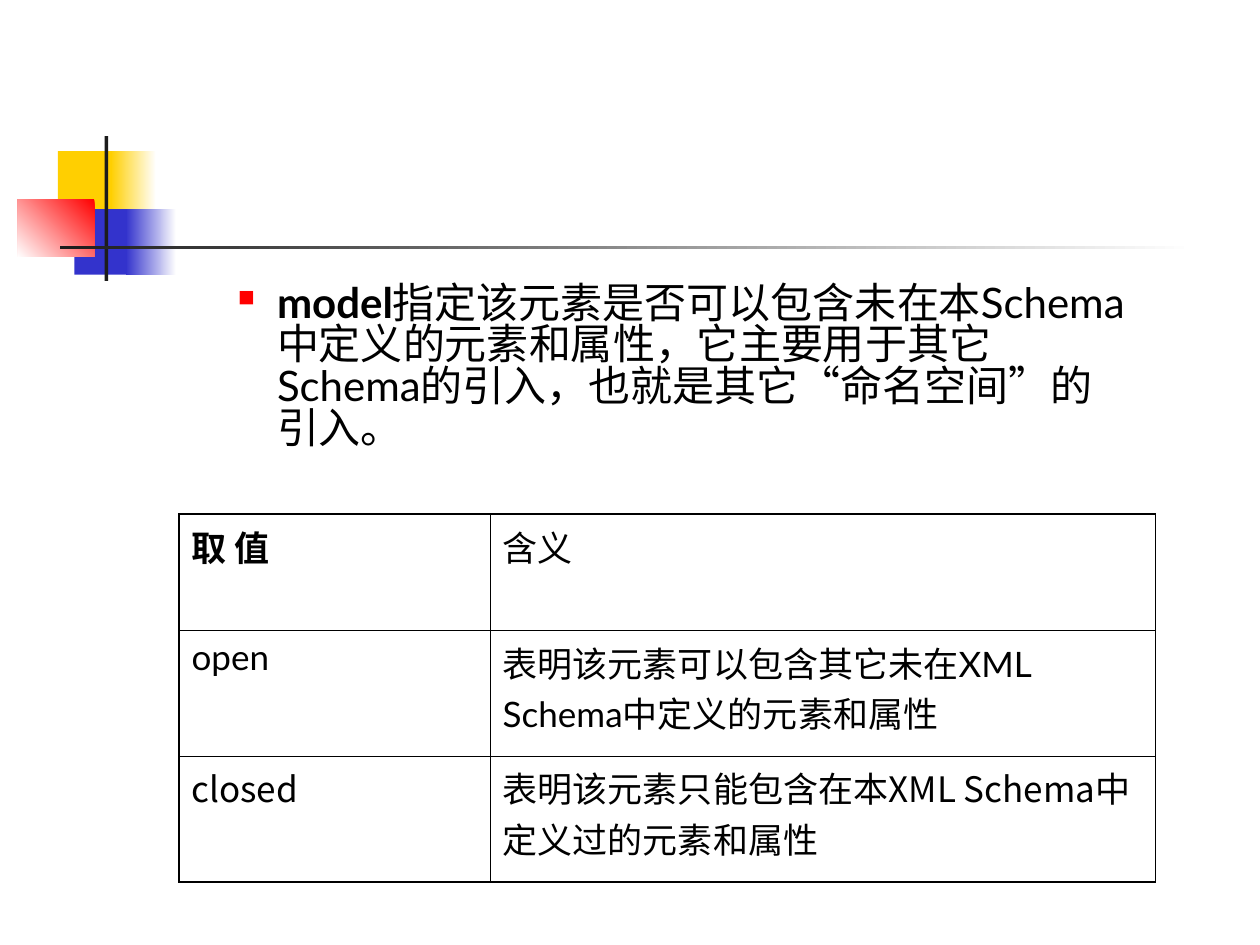
from dataclasses import dataclass

from lxml import etree
from pptx import Presentation
from pptx import util as u
from pptx.dml.color import RGBColor
from pptx.enum import shapes, text
from pptx.oxml.ns import qn

WIDTH, HEIGHT = u.Inches(10), u.Inches(7.5)
LATIN, HAN = "Lato", "Noto Sans CJK SC"
BLACK, WHITE, RED = "000000", "FFFFFF", "FF0000"
YELLOW, BLUE, CHARCOAL = "FFCF01", "3333CC", "1C1C1C"
OUTER, INNER = 1.08, 0.45


@dataclass(frozen=True)
class Area:
    """A rectangle in percent of the slide's width and height."""
    left: float
    top: float
    width: float
    height: float

    def emu(self) -> tuple[int, int, int, int]:
        """Return the rectangle as slide lengths."""
        return across(self.left), down(self.top), across(self.width), down(self.height)


@dataclass(frozen=True)
class Block:
    """A decorative block, fading from start to end when end is given."""
    area: Area
    start: str
    end: str = ""
    angle: float = 180


@dataclass(frozen=True)
class Entry:
    """The wording and type of one table cell."""
    wording: str
    bold: bool = False
    latin: str = LATIN


BLOCKS = (
    Block(Area(4.6, 16, 4.8, 6.93), YELLOW),
    Block(Area(8.8, 16, 3.6, 6.93), WHITE, YELLOW),
    Block(Area(5.9, 22.13, 4.6, 6.93), BLUE),
    Block(Area(10, 22.13, 4, 6.93), WHITE, BLUE),
    Block(Area(1.4, 21.07, 6.1, 6.13), RED, WHITE, 225),
    Block(Area(8.3, 14.4, 0.3, 15.33), CHARCOAL),
    Block(Area(4.8, 26, 90, 0.4), WHITE, CHARCOAL),
)
DEFINITION = Area(12.9, 29.47, 77.9, 23.87)
VALUES = Area(14.2, 54.4, 77.5, 38.93)
COLUMNS = (24.7, 52.8)
ROWS = (12.27, 13.33, 13.33)
ENTRIES = (
    (Entry("取 值", bold=True), Entry("含义")),
    (Entry("open"), Entry("表明该元素可以包含其它未在XML Schema中定义的元素和属性")),
    (Entry("closed", latin=HAN),
     Entry("表明该元素只能包含在本XML Schema中定义过的元素和属性", latin=HAN)),
)


def across(percent: float) -> int:
    """Turn a share of the slide's width into a length."""
    return round(WIDTH * percent / 100)


def down(percent: float) -> int:
    """Turn a share of the slide's height into a length."""
    return round(HEIGHT * percent / 100)


def colour(value: str) -> RGBColor:
    """Turn a hex string into a colour."""
    return RGBColor.from_string(value)


def style(paragraph, size: float, latin: str = LATIN) -> None:
    """Set the type of a whole paragraph."""
    paragraph.font.size = u.Pt(size)
    paragraph.font.name = latin
    paragraph.font.color.rgb = colour(BLACK)
    for run in paragraph.runs:
        properties = run._r.get_or_add_rPr()
        etree.SubElement(properties, qn("a:ea"), typeface=HAN)


def draw_block(slide, block: Block) -> None:
    """Draw one plain or fading block."""
    shape = slide.shapes.add_shape(shapes.MSO_SHAPE.RECTANGLE, *block.area.emu())
    shape.shadow.inherit = False
    shape.line.fill.background()
    if block.end:
        shape.fill.gradient()
        shape.fill.gradient_angle = block.angle
        for stop, value in zip(shape.fill.gradient_stops, (block.start, block.end)):
            stop.color.rgb = colour(value)
    else:
        shape.fill.solid()
        shape.fill.fore_color.rgb = colour(block.start)


def add_bullet(paragraph) -> None:
    """Give a paragraph a hanging red square."""
    properties = paragraph._p.get_or_add_pPr()
    properties.set("marL", str(u.Inches(0.81)))
    properties.set("indent", str(u.Inches(-0.31)))
    tint = etree.SubElement(properties, qn("a:buClr"))
    etree.SubElement(tint, qn("a:srgbClr"), val=RED)
    etree.SubElement(properties, qn("a:buSzPct"), val="55000")
    etree.SubElement(properties, qn("a:buChar"), char="■")


def draw_definition(slide) -> None:
    """Write the bulleted definition of the model attribute."""
    frame = slide.shapes.add_textbox(*DEFINITION.emu()).text_frame
    frame.word_wrap = True
    frame.vertical_anchor = text.MSO_ANCHOR.TOP
    paragraph = frame.paragraphs[0]
    add_bullet(paragraph)
    paragraph.line_spacing = 0.83
    term, meaning = paragraph.add_run(), paragraph.add_run()
    term.text = "model"
    term.font.bold = True
    meaning.text = ("指定该元素是否可以包含未在本Schema中定义的元素和属性，"
                    "它主要用于其它Schema的引入，也就是其它“命名空间”的引入。")
    style(paragraph, 24)


def add_borders(cell, row: int, column: int) -> None:
    """Rule a cell, heavier along the outside of the table."""
    outside = {
        "L": column == 0,
        "R": column == len(COLUMNS) - 1,
        "T": row == 0,
        "B": row == len(ROWS) - 1,
    }
    properties = cell._tc.get_or_add_tcPr()
    for side, is_outer in outside.items():
        weight = u.Pt(OUTER if is_outer else INNER)
        line = etree.SubElement(properties, qn(f"a:ln{side}"), w=str(weight))
        fill = etree.SubElement(line, qn("a:solidFill"))
        etree.SubElement(fill, qn("a:srgbClr"), val=BLACK)


def draw_values(slide) -> None:
    """Draw the table of allowed values and their meanings."""
    table = slide.shapes.add_table(len(ROWS), len(COLUMNS), *VALUES.emu()).table
    table.first_row = table.horz_banding = False
    for column, share in zip(table.columns, COLUMNS):
        column.width = across(share)
    for row, share in zip(table.rows, ROWS):
        row.height = down(share)
    for row, line in enumerate(ENTRIES):
        for column, entry in enumerate(line):
            cell = table.cell(row, column)
            add_borders(cell, row, column)
            cell.fill.background()
            cell.text = entry.wording
            paragraph = cell.text_frame.paragraphs[0]
            style(paragraph, 20, entry.latin)
            paragraph.font.bold = entry.bold


def main() -> None:
    """Build and save the slide."""
    deck = Presentation()
    deck.slide_width, deck.slide_height = WIDTH, HEIGHT
    slide = deck.slides.add_slide(deck.slide_layouts[6])
    for block in BLOCKS:
        draw_block(slide, block)
    draw_definition(slide)
    draw_values(slide)
    deck.save("out.pptx")


if __name__ == "__main__":
    main()
